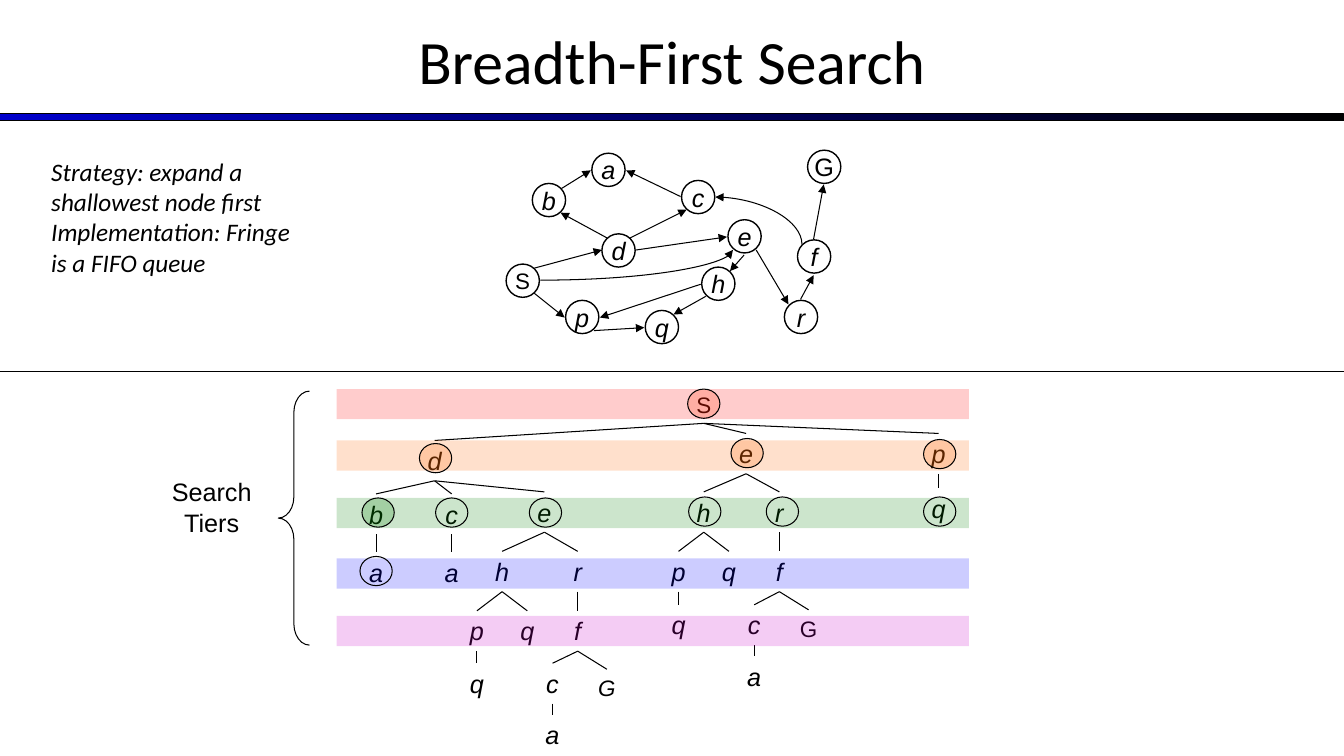
"""Build a slide that explains breadth-first search with a graph and its search tree."""
from pptx import Presentation
from pptx.dml.color import RGBColor
from pptx.enum.shapes import MSO_CONNECTOR, MSO_SHAPE
from pptx.enum.text import MSO_ANCHOR, PP_ALIGN
from pptx.oxml.ns import qn
from pptx.util import Inches, Pt
from lxml import etree

STRAIGHT, CURVE = MSO_CONNECTOR.STRAIGHT, MSO_CONNECTOR.CURVE
RECT, OVAL, BRACE = MSO_SHAPE.RECTANGLE, MSO_SHAPE.OVAL, MSO_SHAPE.LEFT_BRACE
NODE = MSO_SHAPE.FLOWCHART_CONNECTOR
CENTER, LEFT = PP_ALIGN.CENTER, PP_ALIGN.LEFT
MIDDLE, TOP = MSO_ANCHOR.MIDDLE, MSO_ANCHOR.TOP

COLORS = {
    "black": "000000", "bar": "0000CC", "start": "FF3300",
    "red": "FF0000", "orange": "FF6600", "green": "008000",
    "blue": "0000FF", "purple": "CC00CC",
}

NODE_SIZE = 0.33
GRAPH_NODES = [
    ("S", 5.02, 2.62), ("G", 8.01, 1.49), ("d", 5.97, 2.32), ("b", 5.28, 1.82),
    ("p", 5.61, 2.98), ("q", 6.4, 3.08), ("c", 6.76, 1.79), ("e", 7.22, 2.18),
    ("h", 6.96, 2.65), ("a", 5.87, 1.52), ("f", 7.91, 2.38), ("r", 7.78, 2.98),
]
GRAPH_ARROWS = [
    (5.3, 2.91, 5.6, 3.15), (5.89, 3.28, 6.39, 3.25), (7, 2.94, 6.68, 3.12),
    (6.95, 2.82, 5.95, 3.15), (7.38, 2.53, 7.24, 2.69), (7.5, 2.48, 7.82, 3.02),
    (7.94, 2.97, 8.07, 2.73), (8.07, 2.37, 8.17, 1.83), (5.3, 2.66, 5.97, 2.48),
    (6.02, 2.36, 5.56, 2.11), (5.57, 1.87, 5.86, 1.69), (6.75, 1.95, 6.21, 1.69),
    (6.25, 2.36, 6.81, 2.08), (6.31, 2.48, 7.21, 2.35),
]

TREE = ("S", 6.98, 3.83, [
    ("d", 4.31, 4.37, [
        ("b", 3.73, 4.9, [("a", 3.73, 5.48, [])]),
        ("c", 4.48, 4.9, [("a", 4.48, 5.48, [])]),
        ("e", 5.4, 4.88, [
            ("h", 4.98, 5.47, [
                ("p", 4.73, 6.06, [("q", 4.73, 6.58, [])]),
                ("q", 5.23, 6.06, []),
            ]),
            ("r", 5.73, 5.47, [
                ("f", 5.73, 6.06, [
                    ("c", 5.48, 6.58, [("a", 5.48, 7.09, [])]),
                    ("G", 6.02, 6.64, []),
                ]),
            ]),
        ]),
    ]),
    ("e", 7.4, 4.3, [
        ("h", 6.98, 4.88, [
            ("p", 6.73, 5.47, [("q", 6.73, 6, [])]),
            ("q", 7.23, 5.47, []),
        ]),
        ("r", 7.73, 4.88, [
            ("f", 7.73, 5.47, [
                ("c", 7.48, 6, [("a", 7.48, 6.51, [])]),
                ("G", 8.02, 6.05, []),
            ]),
        ]),
    ]),
    ("p", 9.31, 4.3, [("q", 9.31, 4.84, [])]),
])

TIERS = [(3.86, "red"), (4.37, "orange"), (4.94, "green"),
         (5.54, "blue"), (6.11, "purple")]
RINGS = [
    (6.82, 3.86, "start"), (4.16, 4.4, "orange"), (7.25, 4.35, "orange"),
    (9.16, 4.36, "orange"), (3.59, 4.94, "green"), (4.32, 4.94, None),
    (5.25, 4.94, None), (6.83, 4.93, None), (7.6, 4.93, None),
    (9.16, 4.93, None), (3.57, 5.52, None),
]


def rgb(name):
    """Return the named colour."""
    return RGBColor.from_string(COLORS[name])


def write(sp, lines, size, font="Arial", italic=False, align=CENTER, anchor=TOP, wrap=True):
    """Fill a shape with one paragraph per line."""
    tf = sp.text_frame
    tf.word_wrap = wrap
    tf.vertical_anchor = anchor
    tf.text = "\n".join(lines)
    for p in tf.paragraphs:
        p.alignment = align
        p.font.name, p.font.size, p.font.italic = font, Pt(size), italic
        p.font.color.rgb = rgb("black")


def add_text(s, x, y, w, h, lines, size, **style):
    """Add a text box."""
    sp = s.shapes.add_textbox(Inches(x), Inches(y), Inches(w), Inches(h))
    write(sp, lines, size, **style)
    return sp


def add_shape(s, kind, x, y, w, h, fill=None, line=0.75):
    """Add a shape with an optional tint and outline."""
    sp = s.shapes.add_shape(kind, Inches(x), Inches(y), Inches(w), Inches(h))
    sp.shadow.inherit = False
    if fill:
        sp.fill.solid()
        sp.fill.fore_color.rgb = rgb(fill)
        color = sp._element.spPr.find(".//" + qn("a:srgbClr"))
        etree.SubElement(color, qn("a:alpha"), val="20000")
    else:
        sp.fill.background()
    if line:
        sp.line.color.rgb = rgb("black")
        sp.line.width = Pt(line)
    else:
        sp.line.fill.background()
    return sp


def add_line(s, x1, y1, x2, y2, arrow=False, kind=STRAIGHT):
    """Add a thin black line, with an arrowhead at its end if asked."""
    c = s.shapes.add_connector(kind, Inches(x1), Inches(y1), Inches(x2), Inches(y2))
    c.line.color.rgb = rgb("black")
    c.line.width = Pt(0.75)
    if arrow:
        etree.SubElement(c.line._get_or_add_ln(), qn("a:tailEnd"), type="triangle")
    etree.SubElement(c._element.spPr, qn("a:effectLst"))
    return c


def add_curve(s, x1, y1, x2, y2, turn=0):
    """Add a quarter-bend arrow, turned clockwise by whole degrees."""
    pr = add_line(s, x1, y1, x2, y2, True, CURVE)._element.spPr
    pr.find(qn("a:prstGeom")).set("prst", "curvedConnector2")
    pr.find(qn("a:xfrm")).set("rot", str(turn * 60000))


def add_tree(s, node, parent=None):
    """Add a tree node, its link to the parent, and its subtree."""
    text, x, y, children = node
    size, h = (16, 0.37) if text in "SG" else (18, 0.4)
    upright = text == "S" or (text == "G" and x > 7)
    sp = add_text(s, x - 0.2, y, 0.4, h, [text], size, italic=not upright)
    sp.text_frame.margin_left = sp.text_frame.margin_right = 0
    if parent:
        c = add_line(s, x, y, x, y)
        c.begin_connect(parent, 2)
        c.end_connect(sp, 0)
    for child in children:
        add_tree(s, child, sp)


def add_graph(s):
    """Add the state graph."""
    for text, x, y in GRAPH_NODES:
        sp = add_shape(s, NODE, x, y, NODE_SIZE, NODE_SIZE, line=1)
        write(sp, [text], 16 if text == "S" else 18, italic=text not in "SG",
              anchor=MIDDLE, wrap=False)
    for ends in GRAPH_ARROWS:
        add_line(s, *ends, arrow=True)
    add_curve(s, 7.76, 1.76, 7.29, 2.62, turn=90)
    add_curve(s, 5.36, 2.78, 7.27, 2.48)


def add_tiers(s):
    """Add the tier bands, their brace and label, and the visited rings."""
    for y, color in TIERS:
        add_shape(s, RECT, 3.34, y, 6.27, 0.3, color, line=0)
    brace = add_shape(s, BRACE, 2.76, 3.88, 0.31, 2.52)
    brace.adjustments[0] = 0.68
    add_text(s, 1.58, 4.68, 1.04, 0.86, ["Search", "Tiers"], 18)
    for x, y, color in RINGS:
        add_shape(s, OVAL, x, y, 0.32, 0.29, color)


def main():
    """Build and save the slide."""
    prs = Presentation()
    prs.slide_width, prs.slide_height = Inches(13.33), Inches(7.5)
    s = prs.slides.add_slide(prs.slide_layouts[6])
    bar = add_shape(s, RECT, 0, 1.13, 13.33, 0.07)
    bar.fill.gradient()
    bar.fill.gradient_angle = 0
    for stop, color in zip(bar.fill.gradient_stops, ("bar", "black")):
        stop.color.rgb = rgb(color)
    add_text(s, 0, -0.03, 13.33, 1.25, ["Breadth-First Search"], 44,
             font="Calibri", anchor=MIDDLE)
    add_tree(s, TREE)
    add_graph(s)
    add_tiers(s)
    add_line(s, 0, 3.69, 13.33, 3.69)
    add_text(s, 0.41, 1.5, 2.59, 1.46,
             ["Strategy: expand a shallowest node first",
              "Implementation: Fringe is a FIFO queue"],
             18, font="Calibri", italic=True, align=LEFT)
    prs.save("out.pptx")


if __name__ == "__main__":
    main()
